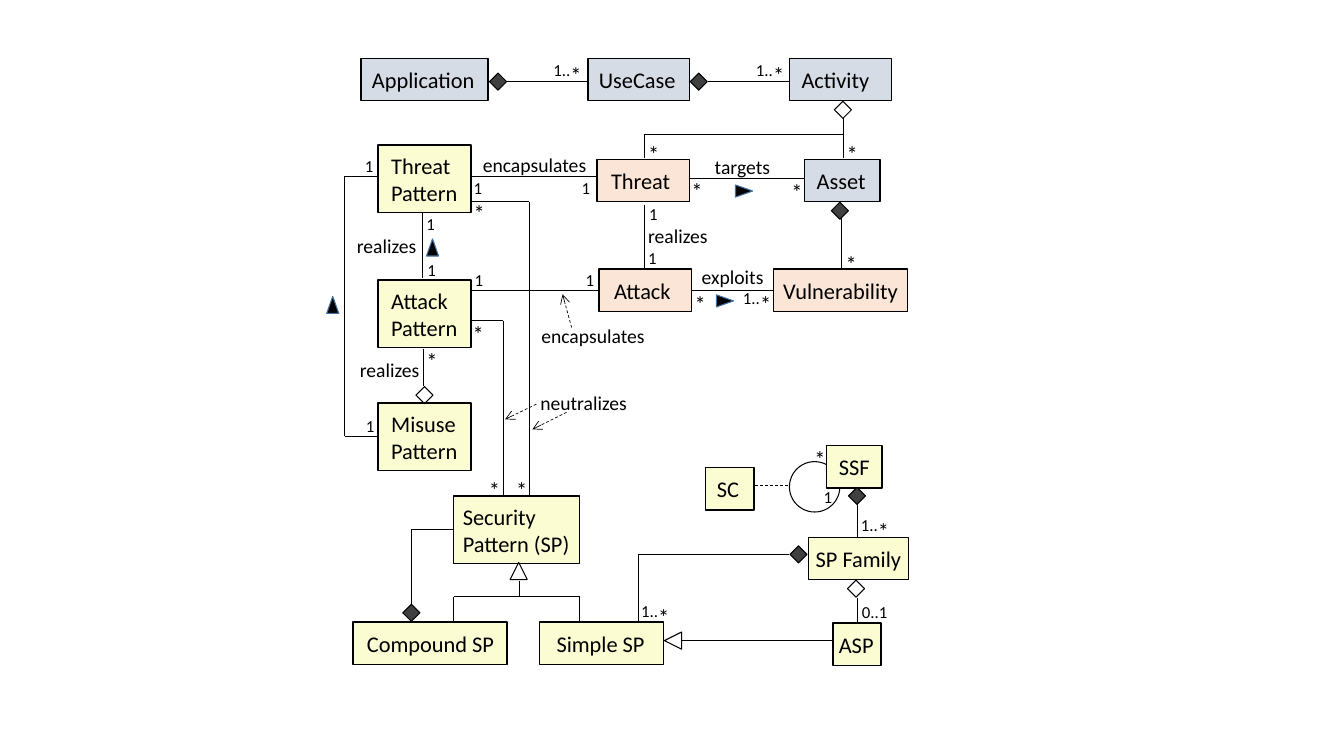
import itertools

import lxml.etree
import pptx
import pptx.dml.color
import pptx.enum.dml
import pptx.enum.shapes
import pptx.enum.text
import pptx.oxml.ns
import pptx.util
from pptx.util import Inches

THEME = {
    "font": "Calibri",
    "colours": {"ink": "000000", "system": "D6DCE5", "threat": "FBE5D6",
                "pattern": "FBFCD2", "solid": "404040", "marker_edge": "43739E"},
    "sizes": {"class": 16, "star": 16, "role": 14, "count": 12},
    "lines": {"box": 1, "symbol": 0.75, "link": 0.5},
}

# Classes: name, left, top, width, height, kind, text inset
CLASSES = [
    ("Application", 3.58, 0.58, 1.26, 0.42, "system", 0.11),
    ("UseCase", 5.83, 0.58, 1.01, 0.42, "system", 0.11),
    ("Activity", 7.83, 0.58, 1.01, 0.42, "system", 0.12),
    ("Asset", 7.98, 1.58, 0.75, 0.42, "system", 0.12),
    ("Threat", 5.92, 1.58, 0.92, 0.42, "threat", 0.14),
    ("Attack", 5.94, 2.67, 0.92, 0.42, "threat", 0.15),
    ("Vulnerability", 7.67, 2.67, 1.33, 0.42, "threat", 0.1),
    ("Threat\nPattern", 3.75, 1.44, 0.92, 0.67, "pattern", 0.13),
    ("Attack\nPattern", 3.75, 2.78, 0.92, 0.67, "pattern", 0.13),
    ("Misuse\nPattern", 3.75, 4, 0.92, 0.67, "pattern", 0.13),
    ("Security\nPattern (SP)", 4.5, 4.92, 1.25, 0.67, "pattern", 0.09),
    ("Compound SP", 3.5, 6.17, 1.53, 0.42, "pattern", 0.14),
    ("Simple SP", 5.35, 6.17, 1.23, 0.42, "pattern", 0.17),
    ("SC", 7, 4.64, 0.48, 0.42, "pattern", 0.11),
    ("SSF", 8.2, 4.42, 0.55, 0.42, "pattern", 0.12),
    ("SP Family", 8.02, 5.33, 0.99, 0.42, "pattern", 0.07),
    ("ASP", 8.26, 6.18, 0.48, 0.42, "pattern", 0.06),
]

# Links: corner points of each route
ROUTES = [
    [(5.02, 0.81), (5.82, 0.81)],
    [(7.02, 0.81), (7.83, 0.81)],
    [(8.36, 1.17), (8.36, 1.57)],
    [(8.36, 1.33), (6.39, 1.33), (6.39, 1.57)],
    [(8.34, 2.13), (8.34, 2.67)],
    [(6.39, 2.03), (6.39, 2.67)],
    [(6.83, 1.77), (7.98, 1.77)],
    [(6.85, 2.88), (7.67, 2.88)],
    [(4.67, 1.75), (5.92, 1.75)],
    [(4.67, 2.88), (5.94, 2.88)],
    [(4.19, 2.11), (4.19, 2.76)],
    [(4.2, 3.46), (4.2, 3.83)],
    [(3.75, 1.75), (3.42, 1.75), (3.42, 4.33), (3.75, 4.33)],
    [(4.67, 3.18), (4.99, 3.18), (4.99, 4.92)],
    [(4.67, 2), (5.25, 2), (5.25, 4.92)],
    [(5.15, 5.76), (5.15, 5.92)],
    [(4.5, 6.17), (4.5, 5.92), (5.75, 5.92), (5.75, 6.17)],
    [(4.5, 5.25), (4.08, 5.25), (4.08, 6)],
    [(7.83, 5.5), (6.33, 5.5), (6.33, 6.17)],
    [(6.76, 6.35), (8.26, 6.35)],
    [(8.5, 5.93), (8.5, 6.18)],
    [(8.5, 5), (8.5, 5.33)],
]
ASSOCIATION_CLASS_LINK = [(7.49, 4.82), (7.83, 4.82)]
CALLOUT_ARROWS = [
    [(5.67, 3.25), (5.58, 2.92)],
    [(5.62, 4.09), (5.28, 4.26)],
    [(5.32, 4.01), (5.01, 4.16)],
]

# Symbols: left and top, with rotation where it varies
COMPOSITIONS = [(4.88, 0.75), (6.87, 0.75), (8.27, 2.03), (7.86, 5.44),
                (4.02, 6.02), (8.44, 4.86)]
AGGREGATIONS = [(8.3, 1.03), (4.15, 3.86), (8.43, 5.78)]
INHERITANCES = [(5.06, 5.58, 0), (6.59, 6.27, 270)]
READING_MARKERS = [(7.32, 1.81, 90), (7.13, 2.9, 90), (4.23, 2.37, 0), (3.24, 2.94, 0)]
SELF_LINK = (7.83, 4.58, 0.5, 0.5)

# Labels: left and top of each text box
ROLES = [
    ("realizes", 6.33, 2.17), ("realizes", 3.44, 2.27), ("realizes", 3.47, 3.5),
    ("targets", 6.99, 1.49), ("exploits", 6.86, 2.58), ("encapsulates", 4.69, 1.47),
    ("encapsulates", 5.27, 3.16), ("neutralizes", 5.26, 3.83),
]
ONES = [(6.34, 1.97), (6.33, 2.41), (4.13, 2.07), (4.14, 2.53), (4.6, 1.71), (5.67, 1.71),
        (3.52, 1.5), (3.53, 4.08), (4.61, 2.63), (5.71, 2.63), (8.07, 4.78)]
STARS = [(8.3, 1.34), (6.33, 1.34), (8.29, 2.43), (6.76, 1.71), (7.75, 1.72), (7.98, 4.37),
         (4.75, 4.67), (5.02, 4.67), (4.59, 3.13), (4.13, 3.39), (4.6, 1.93), (6.79, 2.83)]
ONE_OR_MORE = [(5.39, 0.54), (7.4, 0.54), (7.27, 2.81), (6.26, 5.91), (8.44, 5.06)]
STAR_OFFSET = (0.17, 0.02)
ZERO_OR_ONE = (8.45, 5.92)
LABEL_BOXES = {"role": (1.31, 0.34), "count": (0.5, 0.3), "star": (0.33, 0.37)}

SHAPES = pptx.enum.shapes.MSO_SHAPE


def colour(name):
    return pptx.dml.color.RGBColor.from_string(THEME["colours"][name])


def add_shape(slide, kind, left, top, width, height, fill=None, edge="ink",
              weight="symbol", rotation=0):
    shape = slide.shapes.add_shape(kind, Inches(left), Inches(top), Inches(width), Inches(height))
    shape.shadow.inherit = False
    shape.rotation = rotation
    if fill:
        shape.fill.solid()
        shape.fill.fore_color.rgb = colour(fill)
    else:
        shape.fill.background()
    shape.line.color.rgb = colour(edge)
    shape.line.width = pptx.util.Pt(THEME["lines"][weight])
    return shape


def write(shape, text, role, inset=0.1, anchor=pptx.enum.text.MSO_ANCHOR.TOP):
    frame = shape.text_frame
    frame.word_wrap = True
    frame.vertical_anchor = anchor
    frame.margin_left, frame.margin_right = Inches(inset), 0
    frame.text = text
    for paragraph in frame.paragraphs:
        paragraph.alignment = pptx.enum.text.PP_ALIGN.LEFT
        paragraph.font.name = THEME["font"]
        paragraph.font.size = pptx.util.Pt(THEME["sizes"][role])
        paragraph.font.color.rgb = colour("ink")


def add_label(slide, text, left, top, role):
    width, height = LABEL_BOXES[role]
    box = slide.shapes.add_textbox(Inches(left), Inches(top), Inches(width), Inches(height))
    write(box, text, role)


def add_route(slide, points, dashed=False, arrow=False):
    for start, end in itertools.pairwise(points):
        connector = slide.shapes.add_connector(
            pptx.enum.shapes.MSO_CONNECTOR.STRAIGHT, *map(Inches, start + end))
        connector.line.color.rgb = colour("ink")
        connector.line.width = pptx.util.Pt(THEME["lines"]["link"])
        if dashed:
            connector.line.dash_style = pptx.enum.dml.MSO_LINE.DASH
        properties = connector._element.spPr
        if arrow:
            outline = properties.find(pptx.oxml.ns.qn("a:ln"))
            lxml.etree.SubElement(outline, pptx.oxml.ns.qn("a:tailEnd"), type="arrow")
        lxml.etree.SubElement(properties, pptx.oxml.ns.qn("a:effectLst"))


def main():
    presentation = pptx.Presentation()
    presentation.slide_width, presentation.slide_height = Inches(13.33), Inches(7.5)
    slide = presentation.slides.add_slide(presentation.slide_layouts[6])

    # Class boxes, over the self link of SSF
    add_shape(slide, SHAPES.OVAL, *SELF_LINK)
    for name, left, top, width, height, kind, inset in CLASSES:
        box = add_shape(slide, SHAPES.RECTANGLE, left, top, width, height, kind, weight="box")
        write(box, name, "class", inset, pptx.enum.text.MSO_ANCHOR.MIDDLE)

    # Links
    for route in ROUTES:
        add_route(slide, route)
    add_route(slide, ASSOCIATION_CLASS_LINK, dashed=True)
    for route in CALLOUT_ARROWS:
        add_route(slide, route, dashed=True, arrow=True)

    # Link ends and reading directions
    for fill, places in (("solid", COMPOSITIONS), (None, AGGREGATIONS)):
        for left, top in places:
            add_shape(slide, SHAPES.RECTANGLE, left, top, 0.12, 0.12, fill, rotation=45)
    for left, top, rotation in INHERITANCES:
        add_shape(slide, SHAPES.ISOSCELES_TRIANGLE, left, top, 0.17, 0.17, rotation=rotation)
    for left, top, rotation in READING_MARKERS:
        add_shape(slide, SHAPES.ISOSCELES_TRIANGLE, left, top, 0.12, 0.17,
                  "ink", "marker_edge", rotation=rotation)

    # Roles and multiplicities
    for text, left, top in ROLES:
        add_label(slide, text, left, top, "role")
    more_stars = [(left + STAR_OFFSET[0], top + STAR_OFFSET[1]) for left, top in ONE_OR_MORE]
    for text, role, places in (("1", "count", ONES), ("*", "star", STARS + more_stars),
                               ("1..", "count", ONE_OR_MORE), ("0..1", "count", [ZERO_OR_ONE])):
        for left, top in places:
            add_label(slide, text, left, top, role)

    presentation.save("out.pptx")


if __name__ == "__main__":
    main()
